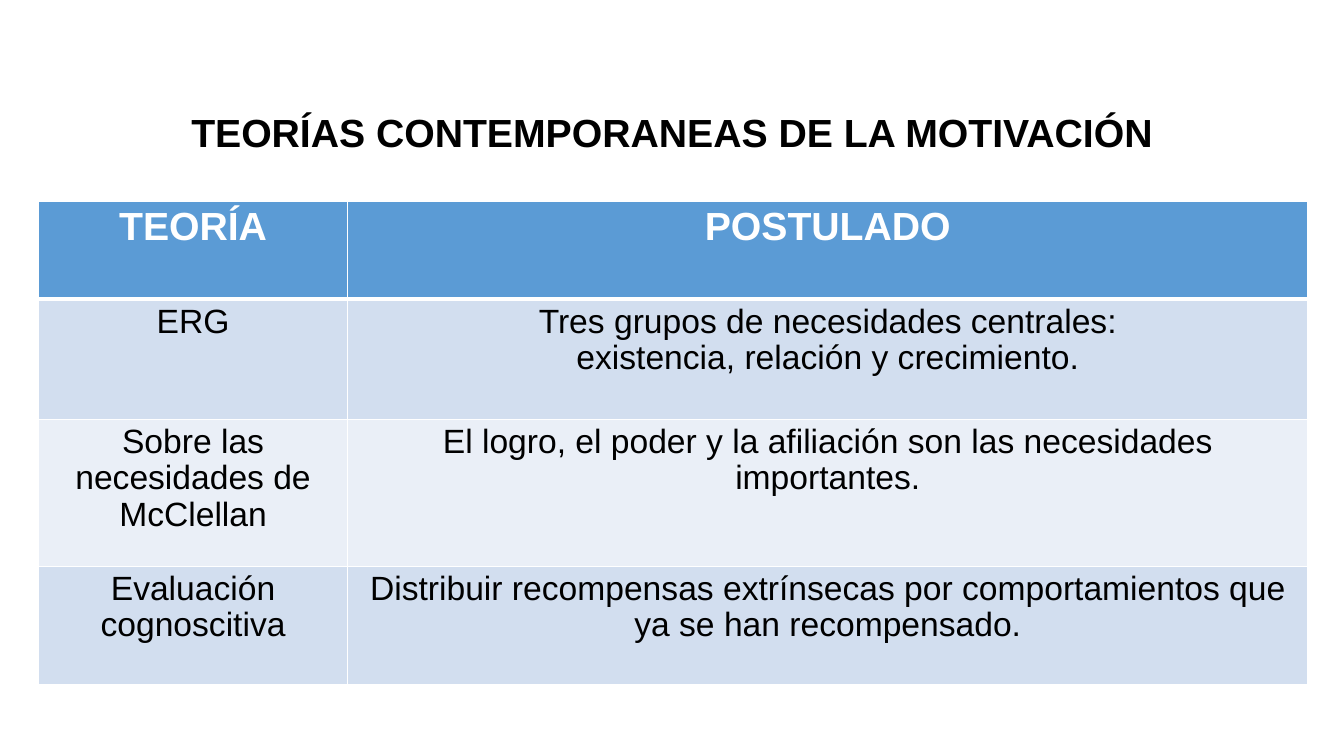
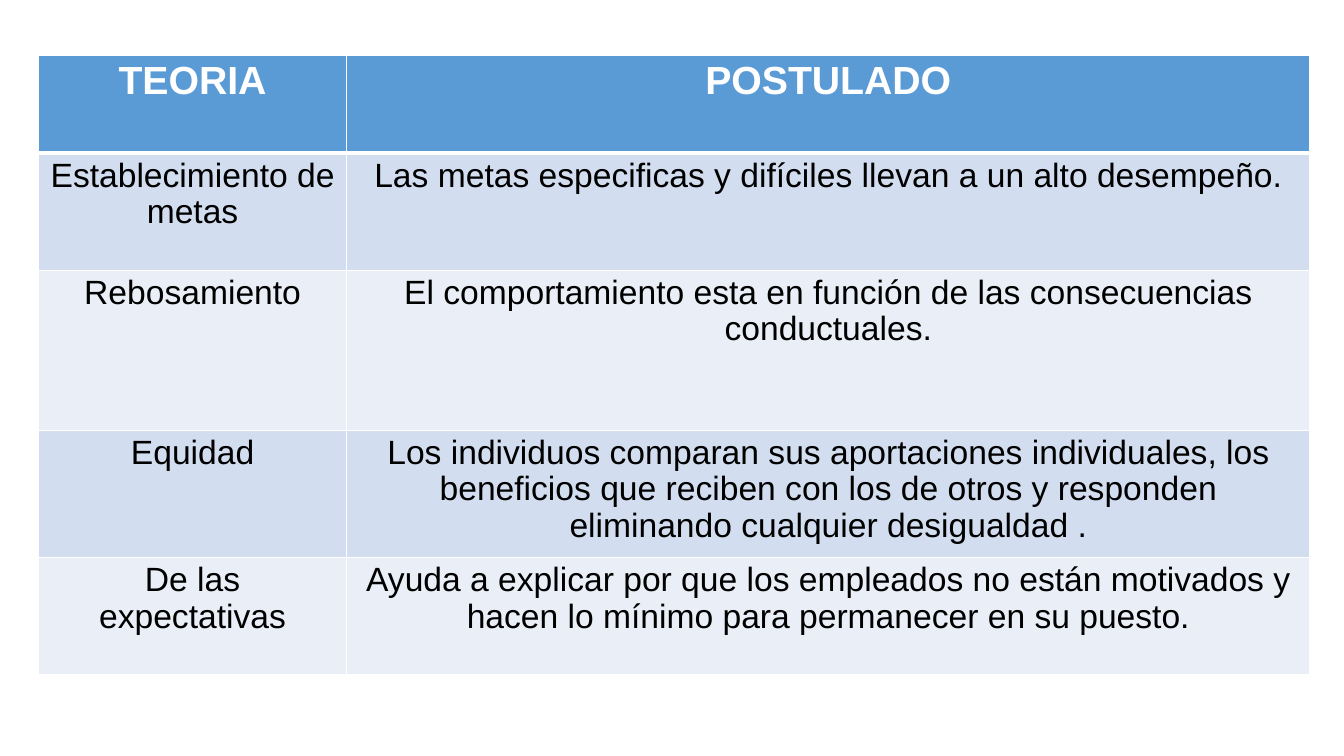
"""Build two slides of tables on contemporary theories of motivation."""
from lxml.etree import SubElement
from pptx import Presentation
from pptx.dml.color import RGBColor as RGB
from pptx.enum.text import MSO_ANCHOR as ANCHOR, PP_ALIGN as ALIGN
from pptx.oxml.ns import qn
from pptx.util import Inches, Pt

TITLE = "TEORÍAS CONTEMPORANEAS DE LA MOTIVACIÓN"
TABLES = [
    dict(title=TITLE, top=2, cols=[3.07, 9.52], heights=[0.97, 1.19, 1.46, 1.17],
         rows=[
             ("TEORÍA", "POSTULADO"),
             ("ERG", "Tres grupos de necesidades centrales:\v"
                     "existencia, relación y crecimiento."),
             ("Sobre las necesidades de McClellan",
              "El logro, el poder y la afiliación son las necesidades importantes."),
             ("Evaluación cognoscitiva",
              "Distribuir recompensas extrínsecas por comportamientos que "
              "ya se han recompensado."),
         ]),
    dict(title=None, top=0.55, cols=[3.06, 9.55],
         heights=[0.97, 1.16, 1.59, 1.21, 1.16],
         rows=[
             ("TEORIA", "POSTULADO"),
             ("Establecimiento de metas",
              "Las metas especificas y difíciles llevan a un alto desempeño."),
             ("Rebosamiento",
              "El comportamiento esta en función de las consecuencias conductuales."),
             ("Equidad",
              "Los individuos comparan sus aportaciones individuales, los "
              "beneficios que reciben con los de otros y responden "
              "eliminando cualquier desigualdad ."),
             ("De las expectativas",
              "Ayuda a explicar por que los empleados no están motivados y "
              "hacen lo mínimo para permanecer en su puesto."),
         ]),
]

BLACK, WHITE = RGB(0, 0, 0), RGB(255, 255, 255)
BLUE = RGB(0x5B, 0x9B, 0xD5)
BANDS = [RGB(0xEA, 0xEF, 0xF7), RGB(0xD2, 0xDE, 0xEF)]
LEFT, WIDTH, HEIGHT = 0.38, 13.33, 7.5
HEAD = dict(name="Arial", size=Pt(28), bold=True)
BODY = dict(name="Arial", size=Pt(24), bold=False)


def write(frame, text, style, color, space):
    frame.text = text
    for para in frame.paragraphs:
        para.alignment, para.line_spacing = ALIGN.CENTER, space
        for run in para.runs:
            for key, value in style.items():
                setattr(run.font, key, value)
            run.font.color.rgb = color


def edge(cell, row):
    widths = dict(L=1, R=1, T=3 if row == 1 else 1, B=1 if row else 3)
    props = cell._tc.get_or_add_tcPr()
    for side, width in widths.items():
        line = SubElement(props, qn("a:ln" + side), w=str(Pt(width)))
        fill = SubElement(line, qn("a:solidFill"))
        SubElement(fill, qn("a:srgbClr"), val=str(WHITE))


def add_title(slide, text):
    box = slide.shapes.add_textbox(0, Inches(0.41), Inches(WIDTH), Inches(1.45))
    frame = box.text_frame
    frame.word_wrap = True
    frame.vertical_anchor = ANCHOR.MIDDLE
    frame.margin_top = Inches(0.45)
    write(frame, text, HEAD, BLACK, 0.9)


def add_grid(slide, top, cols, heights, rows):
    size = [LEFT, top, sum(cols), sum(heights)]
    grid = slide.shapes.add_table(len(rows), len(cols), *map(Inches, size)).table
    for col, width in zip(grid.columns, cols):
        col.width = Inches(width)
    for i, texts in enumerate(rows):
        grid.rows[i].height = Inches(heights[i])
        for j, text in enumerate(texts):
            cell = grid.cell(i, j)
            edge(cell, i)
            cell.fill.solid()
            cell.fill.fore_color.rgb = BANDS[i % 2] if i else BLUE
            style, color = (BODY, BLACK) if i else (HEAD, WHITE)
            write(cell.text_frame, text, style, color, 0.97)


deck = Presentation()
deck.slide_width, deck.slide_height = Inches(WIDTH), Inches(HEIGHT)
for item in TABLES:
    slide = deck.slides.add_slide(deck.slide_layouts[6])
    add_grid(slide, item["top"], item["cols"], item["heights"], item["rows"])
    if item["title"]:
        add_title(slide, item["title"])
deck.save("out.pptx")
